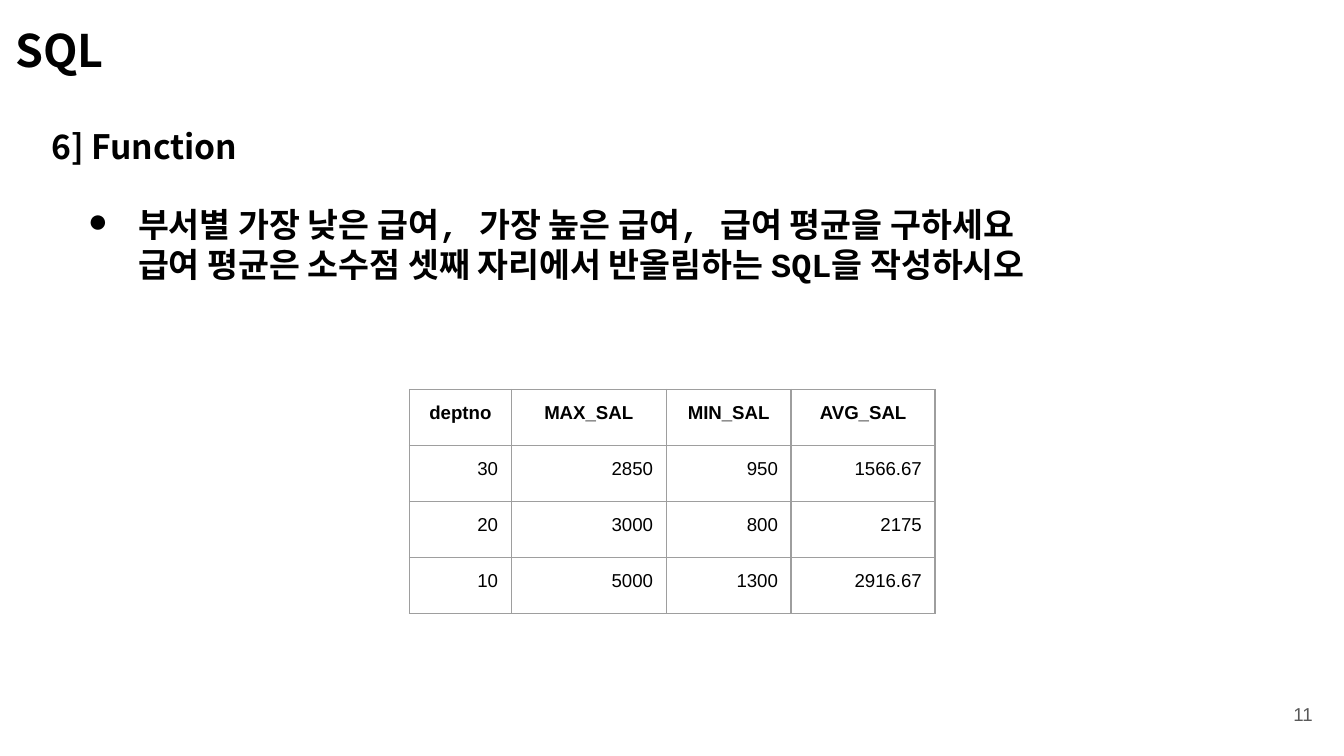
from dataclasses import dataclass

from lxml.etree import SubElement
from pptx import Presentation
from pptx.dml.color import RGBColor
from pptx.enum.text import MSO_ANCHOR, PP_ALIGN
from pptx.oxml.ns import qn
from pptx.util import Cm, Pt

COLORS = {"ink": "000000", "page": "595959", "grid": "9E9E9E", "back": "FFFFFF"}
INSET = Cm(0.25)
SANS = "Noto Sans CJK KR"
MONO = "Courier New"


@dataclass
class Style:
    font: str
    size: float
    color: str = "ink"
    bold: bool = False
    align: PP_ALIGN = PP_ALIGN.LEFT


@dataclass
class Label:
    box: tuple[float, float, float, float]  # left, top, width, height in cm
    lines: list[str]
    style: Style
    anchor: MSO_ANCHOR = MSO_ANCHOR.TOP


def write(para, text: str, style: Style) -> None:
    run = para.add_run()
    run.text = text
    para.alignment = style.align
    values = {"name": style.font, "size": Pt(style.size), "bold": style.bold}
    for key, value in values.items():
        setattr(run.font, key, value)
    run.font.color.rgb = RGBColor.from_string(COLORS[style.color])
    # Korean letters take the sans face
    SubElement(run.font._element, qn("a:ea"), typeface=SANS)


def add_label(slide, label: Label):
    frame = slide.shapes.add_textbox(*map(Cm, label.box)).text_frame
    values = {"word_wrap": True, "vertical_anchor": label.anchor}
    values |= {f"margin_{side}": INSET for side in ("left", "top", "right", "bottom")}
    for key, value in values.items():
        setattr(frame, key, value)
    for i, text in enumerate(label.lines):
        para = frame.paragraphs[0] if i == 0 else frame.add_paragraph()
        write(para, text, label.style)
    return frame


def indent(para, left: float, first: float, mark: str = "") -> None:
    props = para._p.get_or_add_pPr()
    props.set("marL", str(Cm(left)))
    props.set("indent", str(Cm(first)))
    if mark:
        color = SubElement(props, qn("a:buClr"))
        SubElement(color, qn("a:srgbClr"), val=COLORS["ink"])
        SubElement(props, qn("a:buSzPts"), val="1800")
        SubElement(props, qn("a:buFont"), typeface=MONO)
        SubElement(props, qn("a:buChar"), char=mark)
    else:
        SubElement(props, qn("a:buNone"))


def add_edges(cell) -> None:
    props = cell._tc.get_or_add_tcPr()
    for side in "LRTB":
        line = SubElement(props, qn(f"a:ln{side}"), w=str(Pt(0.75)))
        fill = SubElement(line, qn("a:solidFill"))
        SubElement(fill, qn("a:srgbClr"), val=COLORS["grid"])


def add_grid(slide, left: float, top: float, widths: list[float],
             height: float, rows: list[list[str]]) -> None:
    shape = slide.shapes.add_table(
        len(rows), len(widths), Cm(left), Cm(top),
        Cm(sum(widths)), Cm(height * len(rows)))
    table = shape.table
    table.first_row = table.horz_banding = False
    for col, width in zip(table.columns, widths):
        col.width = Cm(width)
    for r, row in enumerate(rows):
        table.rows[r].height = Cm(height)
        for c, text in enumerate(row):
            cell = table.cell(r, c)
            for side in ("left", "top", "right", "bottom"):
                setattr(cell, f"margin_{side}", INSET)
            add_edges(cell)
            cell.fill.background()
            write(cell.text_frame.paragraphs[0], text, HEAD if r == 0 else BODY)


# Text styles
HEAD = Style("Arial", 10, bold=True, align=PP_ALIGN.CENTER)
BODY = Style("Arial", 10, align=PP_ALIGN.RIGHT)
PAGE = Style("Arial", 10, "page", align=PP_ALIGN.RIGHT)

TITLE = Label((0.04, 0.18, 23.67, 1.6), ["SQL"], Style(SANS, 24, bold=True))
TOPIC = Label((0.72, 2.14, 23.67, 1.6), ["6] Function"], Style(SANS, 18, bold=True))
TASK = Label((1.09, 3.6, 25.93, 3.3), [
    "부서별 가장 낮은 급여, 가장 높은 급여, 급여 평균을 구하세요",
    "급여 평균은 소수점 셋째 자리에서 반올림하는 SQL을 작성하시오",
], Style(MONO, 18, bold=True))
NUMBER = Label((23.54, 12.95, 1.52, 1.09), ["11"], PAGE, MSO_ANCHOR.MIDDLE)

ROWS = [
    ["deptno", "MAX_SAL", "MIN_SAL", "AVG_SAL"],
    ["30", "2850", "950", "1566.67"],
    ["20", "3000", "800", "2175"],
    ["10", "5000", "1300", "2916.67"],
]


def main() -> None:
    deck = Presentation()
    deck.slide_width, deck.slide_height = Cm(25.4), Cm(14.29)
    slide = deck.slides.add_slide(deck.slide_layouts[6])
    back = slide.background.fill
    back.solid()
    back.fore_color.rgb = RGBColor.from_string(COLORS["back"])

    # Headings and page number
    for label in (TITLE, NUMBER, TOPIC):
        add_label(slide, label)

    # Task: a bullet and its second line
    first, second = add_label(slide, TASK).paragraphs
    indent(first, 1.27, -0.95, "●")
    indent(second, 1.27, 0)

    # Expected result
    add_grid(slide, 7.74, 7.36, [1.92, 2.93, 2.36, 2.72], 1.06, ROWS)
    deck.save("out.pptx")


if __name__ == "__main__":
    main()
